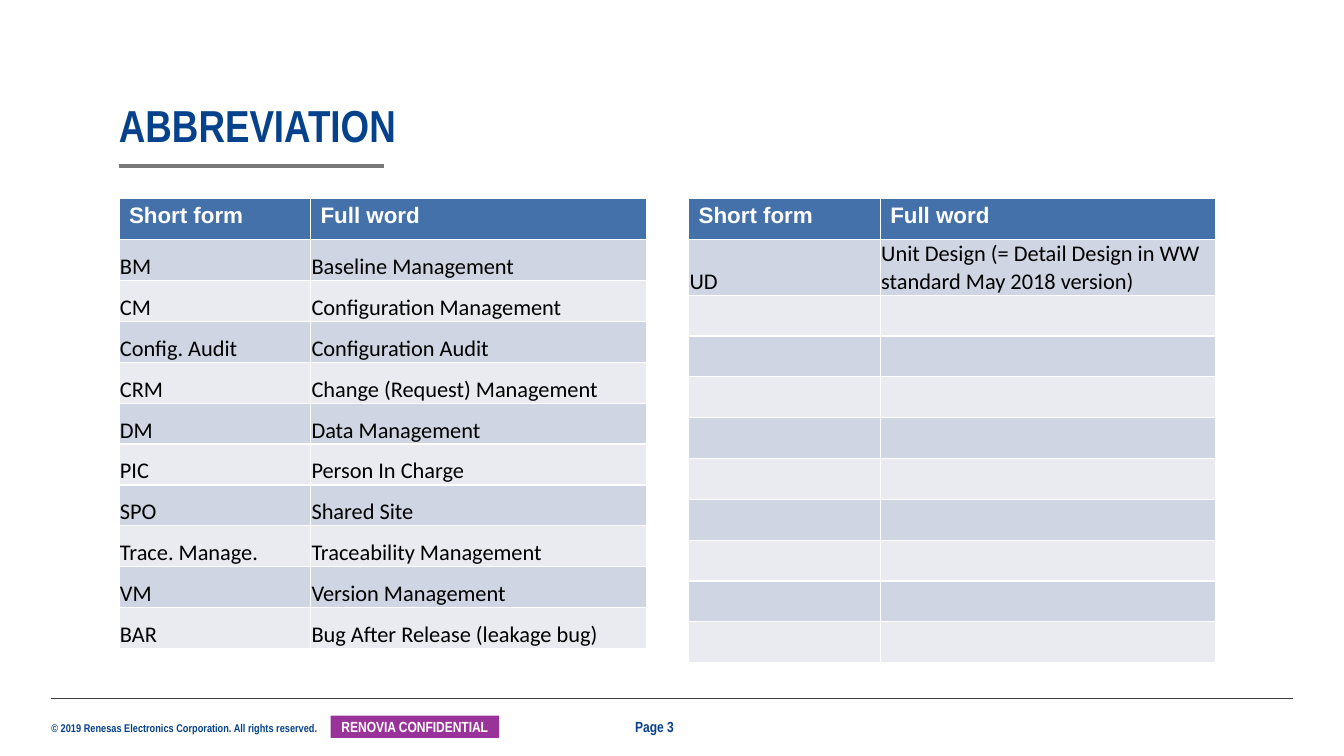
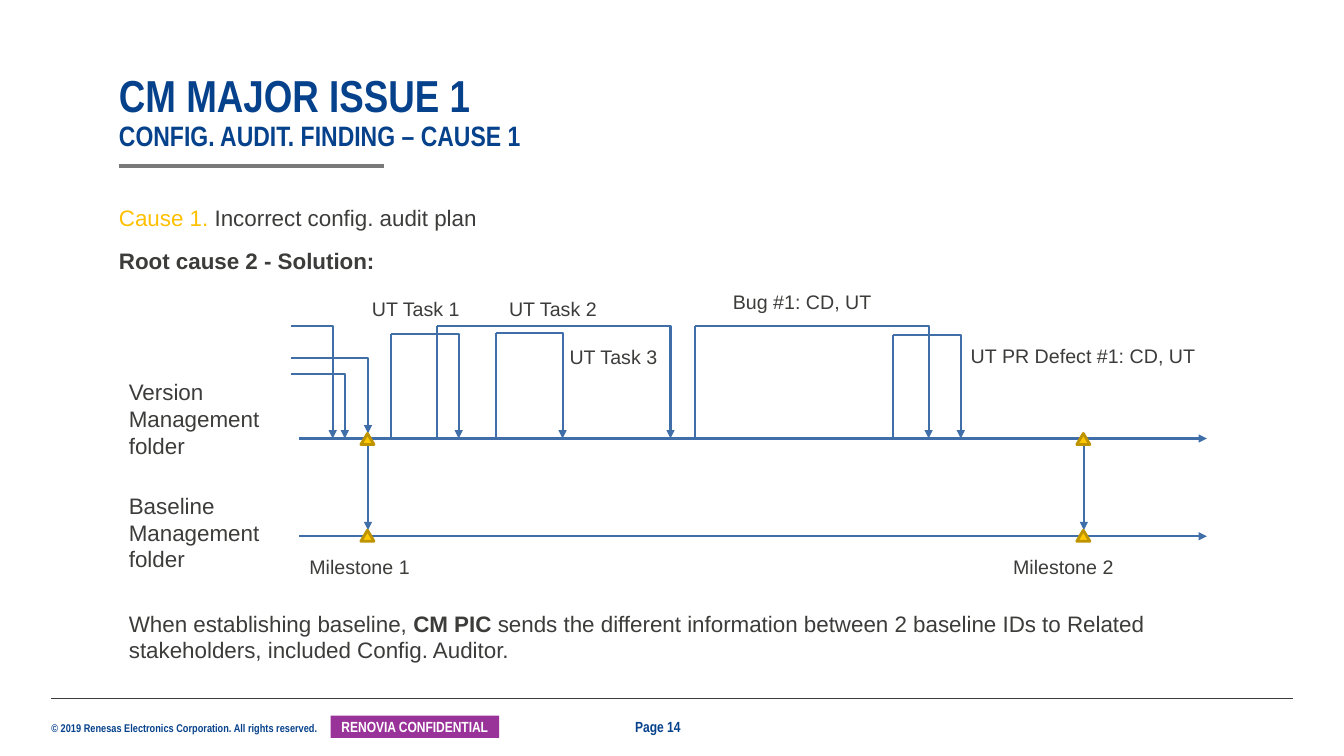
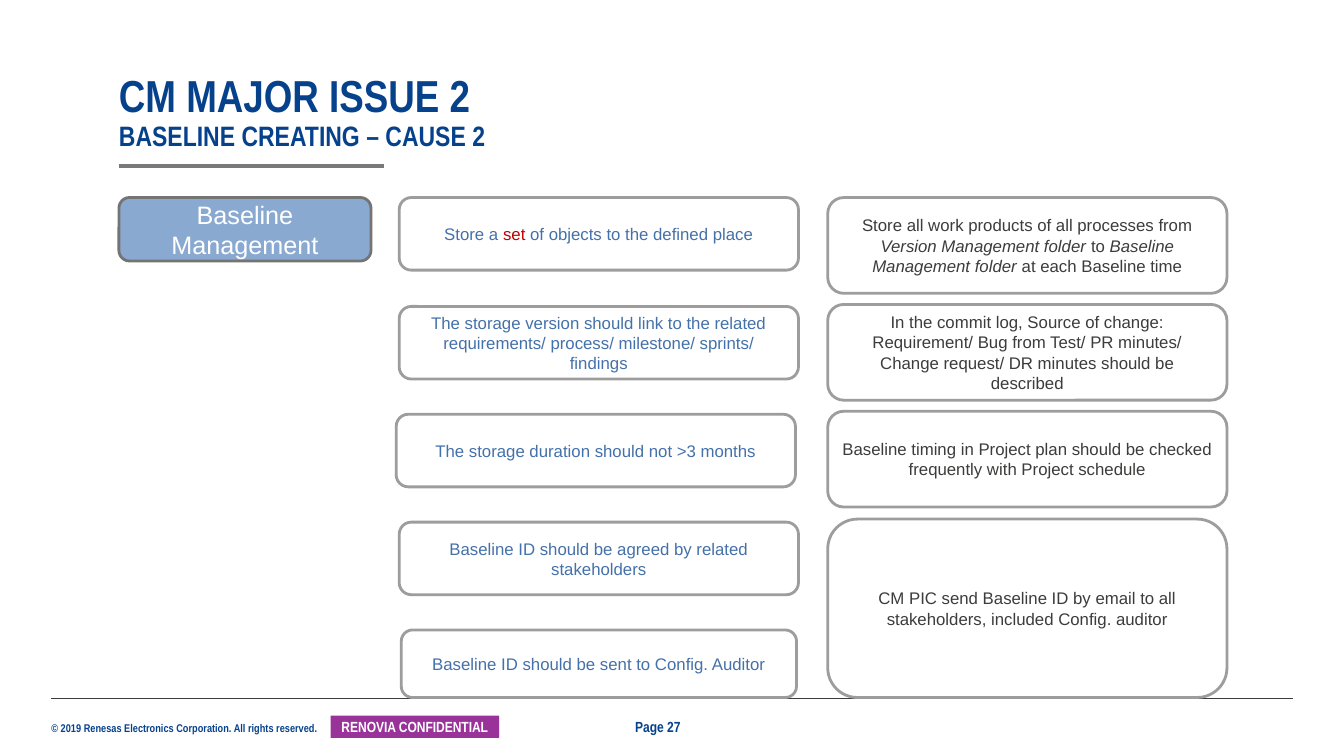
"""Build three configuration management slides: abbreviations, an audit timeline and baseline rules."""
import lxml.etree
import pptx
import pptx.dml.color
import pptx.enum.shapes
import pptx.enum.text
import pptx.oxml.ns
import pptx.util


class Theme:
    navy, blue, wire, sky = "06418C", "4471A9", "406EA8", "8AA9D0"
    ink, black, white, red = "3C3C3B", "000000", "FFFFFF", "C00000"
    gold, sun, rim, plum = "FFC000", "FFC800", "BD9400", "993399"
    rule, frame, edge = "797979", "747474", "9D9D9D"
    bands = ("CFD5E2", "E9EBF1")
    sans, thin, cell = "Arial", "Arial Narrow", "Calibri"
    head, sub, lead, body, label, note, foot, tiny = 32, 20, 18, 16, 14, 12, 10.5, 8


px = 9144
pt = pptx.util.Pt
rgb = pptx.dml.color.RGBColor.from_string
qn = pptx.oxml.ns.qn
form = pptx.enum.shapes.MSO_SHAPE
wires = pptx.enum.shapes.MSO_CONNECTOR
align = pptx.enum.text.PP_ALIGN
anchor = pptx.enum.text.MSO_ANCHOR


def write(shape, *paras, size=Theme.body, font=Theme.sans, color=Theme.ink, bold=False, side=align.LEFT,
          hold=anchor.TOP, inset=(10, 5, 10, 5), wrap=True, line=None, after=0, fill=None, edge=None):
    """Fill a shape with paragraphs; each is a string or a list of strings and (string, changes) pairs."""
    if fill:
        shape.shadow.inherit = False
        shape.fill.solid()
        shape.fill.fore_color.rgb = rgb(fill)
        if edge:
            shape.line.color.rgb = rgb(edge)
            shape.line.width = pt(2)
        else:
            shape.line.fill.background()
    frame = shape.text_frame
    frame.auto_size = pptx.enum.text.MSO_AUTO_SIZE.NONE
    frame.word_wrap = wrap
    frame.vertical_anchor = hold
    frame.margin_left, frame.margin_top, frame.margin_right, frame.margin_bottom = [n * px for n in inset]
    for n, parts in enumerate(paras):
        para = frame.add_paragraph() if n else frame.paragraphs[0]
        para.alignment = side
        para.space_before, para.space_after = pt(0), pt(after)
        para.line_spacing = line
        for part in [parts] if isinstance(parts, str) else parts:
            text, change = (part, {}) if isinstance(part, str) else part
            look = dict(size=size, color=color, bold=bold, italic=False) | change
            run = para.add_run()
            run.text = text
            run.font.name, run.font.size = font, pt(look["size"])
            run.font.bold, run.font.italic = look["bold"], look["italic"]
            run.font.color.rgb = rgb(look["color"])


def link(slide, start, end, color=Theme.wire, width=1.5, arrow=True, bent=False):
    """Draw a straight line, or one that runs across and then down."""
    ends = [n * px for n in (*start, *end)]
    wire = slide.shapes.add_connector(wires.ELBOW if bent else wires.STRAIGHT, *ends)
    wire.line.color.rgb = rgb(color)
    wire.line.width = pt(width)
    props = wire.element.spPr
    if bent:
        props.find(qn("a:prstGeom")).set("prst", "bentConnector2")
    if arrow:
        lxml.etree.SubElement(props.find(qn("a:ln")), qn("a:tailEnd"), type="triangle")
    lxml.etree.SubElement(props, qn("a:effectLst"))
    return wire


deck = pptx.Presentation()
deck.slide_width, deck.slide_height = 1333 * px, 750 * px

slides = []
for layout, page, top, heads in (
    (5, 3, 102, ["ABBREVIATION"]),
    (1, 14, 72, ["CM MAJOR ISSUE 1", "CONFIG. AUDIT. FINDING – CAUSE 1"]),
    (5, 27, 72, ["CM MAJOR ISSUE 2", "BASELINE CREATING – CAUSE 2"]),
):
    slide = deck.slides.add_slide(deck.slide_layouts[layout])
    title = slide.shapes.title
    title.left, title.top, title.width, title.height = 118 * px, top * px, 984 * px, (151 - top) * px
    lines = [[(text, dict(size=size))] for text, size in zip(heads, (Theme.head, Theme.sub))]
    write(title, *lines, font=Theme.thin, color=Theme.navy, bold=True, hold=anchor.BOTTOM,
          inset=(0, 0, 0, 0), line=0.9)
    box = slide.shapes.add_textbox(630 * px, 712 * px, 73 * px, 18 * px)
    write(box, f"Page {page}", size=Theme.foot, font=Theme.thin, color=Theme.navy, bold=True,
          hold=anchor.MIDDLE, inset=(0, 0, 0, 0))
    slides.append(slide)
terms, plan, rules = slides

rights = plan.shapes.add_textbox(51 * px, 716 * px, 275 * px, 13 * px)
write(rights, "© 2019 Renesas Electronics Corporation. All rights reserved.", size=Theme.tiny,
      font=Theme.thin, color=Theme.navy, bold=True, inset=(0, 0, 0, 0))
tag = plan.shapes.add_shape(form.RECTANGLE, 328 * px, 710 * px, 167 * px, 22 * px)
write(tag, "RENOVIA CONFIDENTIAL", size=Theme.foot, font=Theme.thin, color=Theme.white, bold=True,
      side=align.CENTER, hold=anchor.MIDDLE, inset=(4, 0, 4, 0), fill=Theme.plum)
base = link(plan, (51, 693), (1282, 693), color=Theme.ink, width=0.5, arrow=False)
under = link(plan, (118, 165), (381, 165), color=Theme.rule, width=3, arrow=False)
for n, part in enumerate((rights, base, tag, under), 20):
    part.element.xpath(".//p:cNvPr")[0].set("id", str(n))
    deck.slide_master.shapes.element.append(part.element)

left = [
    ("BM", "Baseline Management"),
    ("CM", "Configuration Management"),
    ("Config. Audit", "Configuration Audit"),
    ("CRM", "Change (Request) Management"),
    ("DM", "Data Management"),
    ("PIC", "Person In Charge"),
    ("SPO", "Shared Site"),
    ("Trace. Manage.", "Traceability Management"),
    ("VM", "Version Management"),
    ("BAR", "Bug After Release (leakage bug)"),
]
right = [("UD", "Unit Design (= Detail Design in WW standard May 2018 version)")] + [("", "")] * 9
for x, tall, pairs in ((118, 41, left), (683, 55, right)):
    grid = terms.shapes.add_table(11, 2, x * px, 197 * px, 523 * px, 446 * px).table
    grid.columns[0].width, grid.columns[1].width = 190 * px, 333 * px
    for r, pair in enumerate([("Short form", "Full word")] + pairs):
        grid.rows[r].height = tall * px if r == 1 else 446 * px // 11
        for c, text in enumerate(pair):
            cell = grid.cell(r, c)
            cell.fill.solid()
            cell.fill.fore_color.rgb = rgb(Theme.bands[(r - 1) % 2] if r else Theme.blue)
            if r:
                cell.vertical_anchor = anchor.BOTTOM
                cell.margin_left = cell.margin_top = cell.margin_right = px
                cell.margin_bottom = 0
            if text:
                run = cell.text_frame.paragraphs[0].add_run()
                run.text = text
                run.font.size, run.font.bold = pt(Theme.body), r == 0
                run.font.name = Theme.cell if r else Theme.sans
                run.font.color.rgb = rgb(Theme.black if r else Theme.white)

body = plan.placeholders[1]
body.left, body.top, body.width, body.height = 118 * px, 197 * px, 1124 * px, 76 * px
write(body, [("Cause 1. ", dict(color=Theme.gold)), "Incorrect config. audit plan"],
      [("Root cause 2 - Solution:", dict(bold=True))], inset=(0, 0, 0, 0), line=1.2, after=8)
for para in body.element.findall(".//" + qn("a:p")):
    props = para.get_or_add_pPr()
    props.set("marL", "0")
    props.set("indent", "0")
    lxml.etree.SubElement(props, qn("a:buNone"))

for y in (435, 532):
    link(plan, (297, y), (1197, y))
for y, x, foot in ((355, 365, 430), (323, 330, 435), (371, 342, 435)):
    link(plan, (289, y), (x, foot), bent=True)
for x, end, y in ((388, 455, 331), (492, 558, 330), (433, 665, 323), (689, 921, 323), (886, 953, 332)):
    link(plan, (x, y), (x, 435), arrow=False)
    link(plan, (x, y), (end, 435), bent=True)
for x in (365, 1075):
    link(plan, (x, 441), (x, 526))
    for y in (430, 526):
        mark = plan.shapes.add_shape(form.ISOSCELES_TRIANGLE, (x - 7) * px, y * px, 13 * px, 11 * px)
        write(mark, fill=Theme.sun, edge=Theme.rim)

for x, y, w, h, size, wrap, text in (
    (118, 370, 150, 91, Theme.body, True, "Version Management folder"),
    (118, 483, 150, 91, Theme.body, True, "Baseline Management folder"),
    (297, 546, 167, 34, Theme.label, True, "Milestone 1"),
    (995, 546, 153, 34, Theme.label, True, "Milestone 2"),
    (359, 290, 108, 34, Theme.label, False, "UT Task 1"),
    (495, 290, 108, 34, Theme.label, False, "UT Task 2"),
    (555, 337, 108, 34, Theme.label, False, "UT Task 3"),
    (717, 283, 159, 34, Theme.label, False, "Bug #1: CD, UT"),
    (953, 336, 244, 34, Theme.label, False, "UT PR Defect #1: CD, UT"),
    (118, 600, 1083, 64, Theme.body, True, [
        "When establishing baseline, ", ("CM PIC ", dict(bold=True)),
        "sends the different information between 2 baseline IDs to Related stakeholders, "
        "included Config. Auditor."]),
):
    box = plan.shapes.add_textbox(x * px, y * px, w * px, h * px)
    write(box, text, size=size, wrap=wrap)

slant = dict(italic=True)
goal = dict(size=Theme.note, color=Theme.blue, fill=Theme.white, edge=Theme.edge)
step = goal | dict(color=Theme.ink)
topic = dict(size=Theme.lead, color=Theme.white, fill=Theme.sky, edge=Theme.frame)
for x, y, w, h, look, text in (
    (118, 196, 250, 63, topic, "Baseline Management"),
    (396, 196, 396, 72, goal, ["Store a ", ("set", dict(color=Theme.red)), " of objects to the defined place"]),
    (396, 304, 396, 72, goal, "The storage version should link to the related requirements/ process/ "
                              "milestone/ sprints/ findings"),
    (393, 411, 396, 72, goal, "The storage duration should not >3 months"),
    (396, 518, 396, 72, goal, "Baseline ID should be agreed by related stakeholders"),
    (398, 625, 392, 67, goal, "Baseline ID should be sent to Config. Auditor"),
    (821, 196, 396, 95, step, ["Store all work products of all processes from ",
                               ("Version Management folder ", slant), "to ",
                               ("Baseline Management folder", slant), " at each Baseline time"]),
    (821, 302, 396, 95, step, "In the commit log, Source of change: Requirement/ Bug from Test/ PR minutes/ "
                              "Change request/ DR minutes should be described"),
    (821, 408, 396, 95, step, "Baseline timing in Project plan should be checked frequently with "
                              "Project schedule"),
    (821, 515, 396, 177, step, "CM PIC send Baseline ID by email to all stakeholders, included Config. auditor"),
):
    card = rules.shapes.add_shape(form.ROUNDED_RECTANGLE, x * px, y * px, w * px, h * px)
    write(card, text, side=align.CENTER, hold=anchor.MIDDLE, **look)

deck.save("out.pptx")
